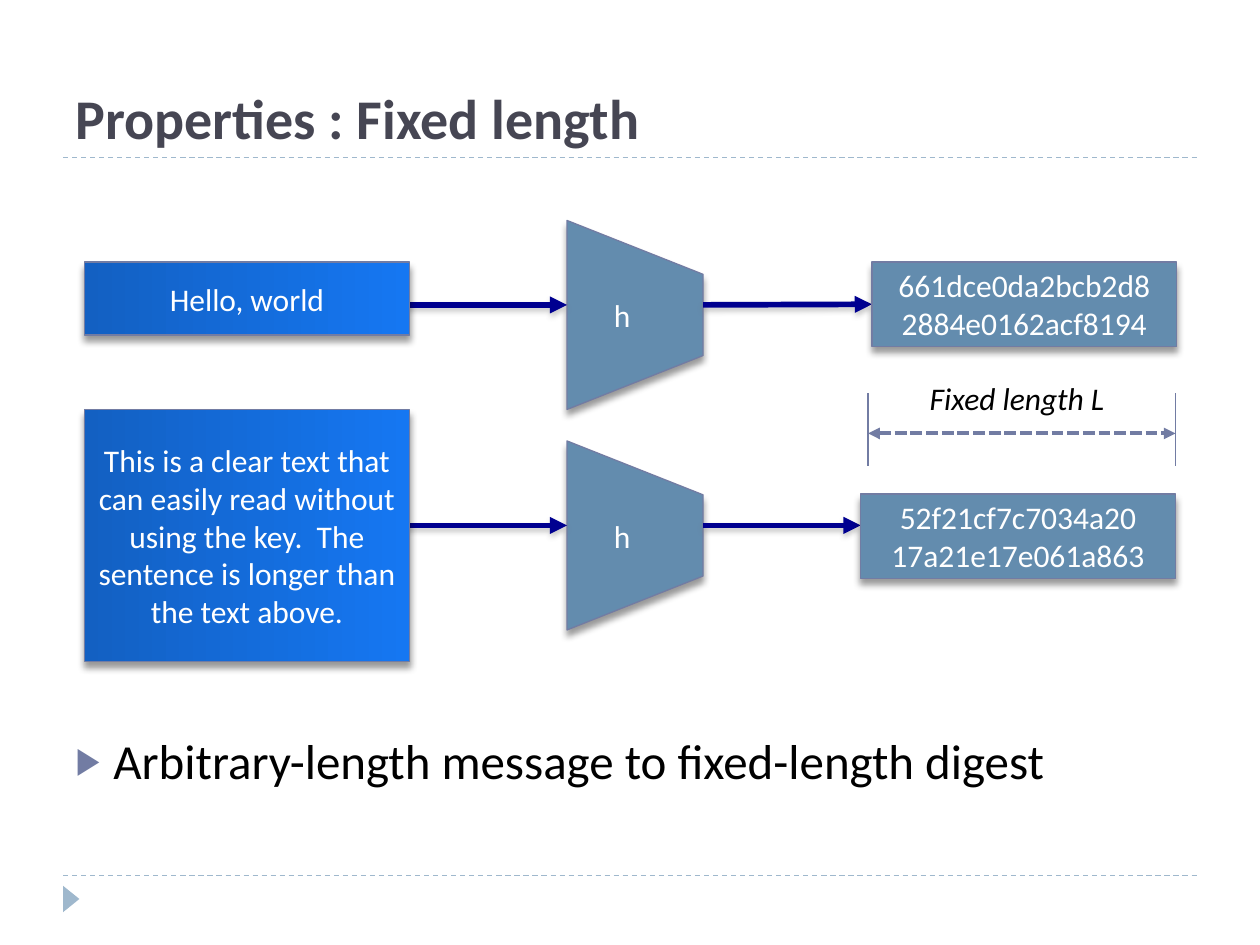
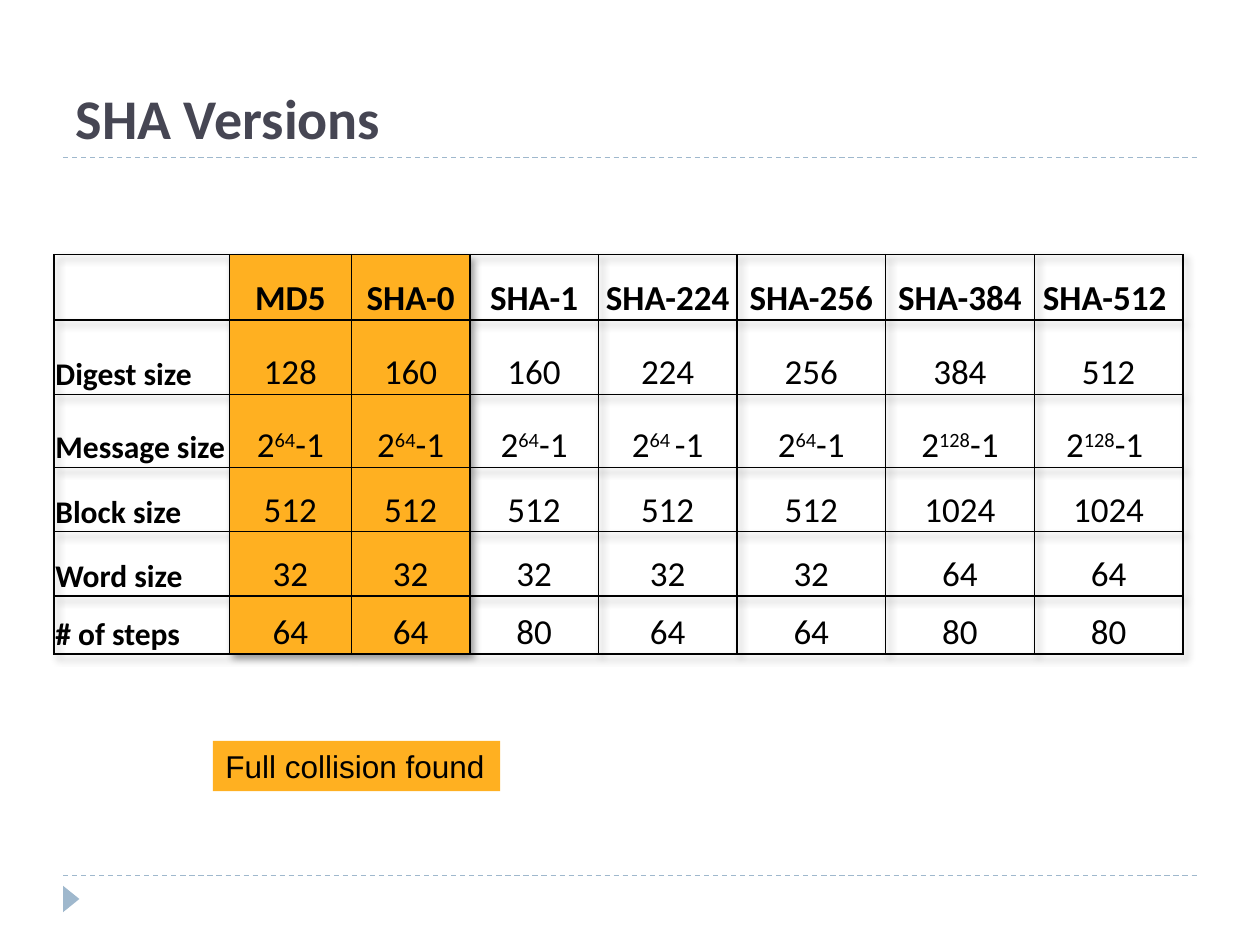
from dataclasses import dataclass
from typing import Any, NamedTuple, Optional

from lxml.etree import SubElement
from pptx import Presentation
from pptx.dml.color import RGBColor
from pptx.enum.dml import MSO_LINE_DASH_STYLE as Dash
from pptx.enum.shapes import MSO_CONNECTOR_TYPE as Connector
from pptx.enum.shapes import MSO_SHAPE as Shape
from pptx.enum.text import MSO_ANCHOR as Anchor
from pptx.enum.text import MSO_AUTO_SIZE as AutoSize
from pptx.enum.text import PP_ALIGN as Align
from pptx.oxml.ns import qn
from pptx.util import Inches, Pt

BLACK, WHITE = "000000", "FFFFFF"
TITLE, BAND, ACCENT = "464653", "9FB8CD", "727CA3"
STEEL, NAVY, AMBER = "638CAE", "000090", "FFB021"
MESSAGE_BLUES = ("1360C2", "1577F2")


class Area(NamedTuple):
    left: float
    top: float
    width: float
    height: float


class Shadow(NamedTuple):
    color: str
    blur: float
    distance: float
    angle: int = 90


BOX_SHADOW = Shadow(BLACK, 4, 3.4)
ARROW_SHADOW = Shadow("808080", 3, 2)
TABLE_SHADOW = Shadow(BLACK, 4, 3.4, 45)


@dataclass
class HashRow:
    message: str
    message_area: Area
    digest: str
    digest_area: Area
    arrow_y: float
    joined: bool


HASH_ROWS = [
    HashRow("Hello, world", Area(0.67, 2.08, 2.58, 0.58),
            "661dce0da2bcb2d8\n2884e0162acf8194", Area(6.92, 2.08, 2.42, 0.67), 2.42, True),
    HashRow("This is a clear text that can easily read without using the key.  "
            "The sentence is longer than the text above.", Area(0.67, 3.25, 2.58, 2),
            "52f21cf7c7034a20\n17a21e17e061a863", Area(6.83, 3.92, 2.5, 0.67), 4.17, False),
]

COLUMN_WIDTHS = [1.39, 0.97, 0.94, 1.02, 1.1, 1.18, 1.18, 1.18]
ROW_HEIGHTS = [0.52, 0.59, 0.58, 0.51, 0.51, 0.46]
COLLISION_COLUMNS = (1, 2)
SHA_VERSIONS = [
    ["", "MD5", "SHA-0", "SHA-1", "SHA-224", "SHA-256", "SHA-384", "SHA-512 "],
    ["Digest size", "128", "160", "160", "224", "256", "384", "512"],
    ["Message size", "2^64^-1", "2^64^-1", "2^64^-1", "2^64 ^-1", "2^64^-1",
     "2^128^-1", "2^128^-1 "],
    ["Block size", "512", "512", "512", "512", "512", "1024", "1024"],
    ["Word size", "32", "32", "32", "32", "32", "64", "64"],
    ["# of steps", "64", "64", "80", "64", "64", "80", "80"],
]


def rgb(color: str) -> RGBColor:
    return RGBColor.from_string(color)


def inches(area: Area) -> list:
    return [Inches(length) for length in area]


def write_text(frame: Any, text: str, size: float = 18, color: str = BLACK,
               font: str = "Calibri", bold: bool = False, italic: bool = False,
               align: Align = Align.LEFT) -> Any:
    """Write one paragraph; newlines break lines and ^ marks enclose superscripts."""
    para = frame.paragraphs[0]
    para.alignment = align
    for line_number, line in enumerate(text.split("\n")):
        if line_number:
            para.add_line_break()
        for index, piece in enumerate(line.split("^")):
            span = para.add_run()
            span.text = piece
            span.font.name, span.font.size = font, Pt(size)
            span.font.bold, span.font.italic = bold, italic
            span.font.color.rgb = rgb(color)
            if index % 2:
                span._r.get_or_add_rPr().set("baseline", "30000")
    return para


def fill_effects(effects: Any, shadow: Shadow) -> None:
    outer = SubElement(effects, qn("a:outerShdw"), blurRad=str(Pt(shadow.blur)),
                       dist=str(Pt(shadow.distance)), dir=str(shadow.angle * 60000),
                       algn="tl", rotWithShape="0")
    color = SubElement(outer, qn("a:srgbClr"), val=shadow.color)
    SubElement(color, qn("a:alpha"), val="40000")


def add_box(page: Any, kind: Shape, area: Area, fill: str | tuple[str, str],
            line: Optional[str] = None, shadow: Optional[Shadow] = None,
            rotation: float = 0) -> Any:
    box = page.shapes.add_shape(kind, *inches(area))
    box.rotation = rotation
    box.shadow.inherit = False
    if isinstance(fill, tuple):
        box.fill.gradient()
        box.fill.gradient_angle = 0
        for stop, color in zip(box.fill.gradient_stops, fill):
            stop.color.rgb = rgb(color)
    else:
        box.fill.solid()
        box.fill.fore_color.rgb = rgb(fill)
    if line:
        box.line.color.rgb = rgb(line)
        box.line.width = Pt(0.75)
    else:
        box.line.fill.background()
    if shadow:
        fill_effects(box.element.spPr.find(qn("a:effectLst")), shadow)
    return box


def add_line(page: Any, start: tuple[float, float], end: tuple[float, float], color: str,
             width: float = 0.75, dash: Optional[Dash] = None, ends: tuple = (),
             shadow: Optional[Shadow] = None) -> Any:
    line = page.shapes.add_connector(Connector.STRAIGHT, *inches(start + end))
    line.line.color.rgb = rgb(color)
    line.line.width = Pt(width)
    if dash:
        line.line.dash_style = dash
    for end_name in ends:
        SubElement(line.line._get_or_add_ln(), qn(f"a:{end_name}"), type="triangle")
    effects = SubElement(line.element.spPr, qn("a:effectLst"))
    if shadow:
        fill_effects(effects, shadow)
    return line


def place(holder: Any, area: Area) -> Any:
    holder.left, holder.top, holder.width, holder.height = inches(area)
    holder.text_frame.auto_size = AutoSize.NONE
    return holder.text_frame


def add_page(deck: Any, layout: int, title: str) -> Any:
    page = deck.slides.add_slide(deck.slide_layouts[layout])
    for y in (6.95, 1.25):
        add_line(page, (0.5, y), (9.5, y), BAND, dash=Dash.DASH)
    add_box(page, Shape.ISOSCELES_TRIANGLE, Area(0.46, 7.07, 0.21, 0.13), BAND, rotation=90)
    frame = place(page.shapes.title, Area(0.5, 0.17, 9, 1.08))
    frame.vertical_anchor = Anchor.BOTTOM
    write_text(frame, title, size=32, color=TITLE, bold=True)
    return page


def add_bullet(para: Any) -> None:
    para.space_before = Pt(6)
    properties = para._p.get_or_add_pPr()
    properties.set("marL", str(Inches(0.3)))
    properties.set("indent", str(Inches(-0.3)))
    SubElement(SubElement(properties, qn("a:buClr")), qn("a:srgbClr"), val=ACCENT)
    SubElement(properties, qn("a:buSzPct"), val="76000")
    SubElement(properties, qn("a:buChar"), char="▶")


def add_hash_row(page: Any, row: HashRow) -> None:
    hash_box = add_box(page, Shape.TRAPEZOID, Area(4.29, row.arrow_y - 0.46, 1.5, 1.08),
                       STEEL, ACCENT, BOX_SHADOW, rotation=90)
    hash_box.adjustments[0] = 0.396
    hash_box.text_frame._txBody.bodyPr.set("vert", "vert270")
    write_text(hash_box.text_frame, "h", color=WHITE, align=Align.CENTER)
    for left, right in ((3.08, 4.5), (5.58, row.digest_area.left)):
        arrow = add_line(page, (left, row.arrow_y), (right, row.arrow_y), NAVY, 3.25,
                         ends=("tailEnd",), shadow=ARROW_SHADOW)
    message = add_box(page, Shape.RECTANGLE, row.message_area, MESSAGE_BLUES, ACCENT, BOX_SHADOW)
    digest = add_box(page, Shape.RECTANGLE, row.digest_area, STEEL, ACCENT, BOX_SHADOW)
    for box, text in ((message, row.message), (digest, row.digest)):
        write_text(box.text_frame, text, color=WHITE, align=Align.CENTER)
    if row.joined:
        arrow.end_connect(digest, 1)


def fit_to_text(frame: Any) -> Any:
    frame.word_wrap = False
    frame.auto_size = AutoSize.SHAPE_TO_FIT_TEXT
    return frame


def build_fixed_length(deck: Any) -> None:
    page = add_page(deck, 1, "Properties : Fixed length")
    body = place(page.placeholders[1], Area(0.5, 5.75, 9, 0.98))
    add_bullet(write_text(body, "Arbitrary-length message to fixed-length digest", size=28))
    for row in HASH_ROWS:
        add_hash_row(page, row)
    caption = page.shapes.add_textbox(*inches(Area(7.28, 2.96, 1.67, 0.4)))
    write_text(fit_to_text(caption.text_frame), "Fixed length L", italic=True)
    left, right = 6.89, 9.33
    for x in (left, right):
        add_line(page, (x, 3.12), (x, 3.7), ACCENT)
    add_line(page, (left, 3.44), (right, 3.44), ACCENT, 2.25, Dash.SQUARE_DOT,
             ends=("headEnd", "tailEnd"))


def format_cell(cell: Any, row: int, column: int, text: str) -> None:
    properties = cell._tc.get_or_add_tcPr()
    for side in ("lnL", "lnR", "lnT", "lnB"):
        border = SubElement(properties, qn(f"a:{side}"), w=str(Pt(1)))
        SubElement(SubElement(border, qn("a:solidFill")), qn("a:srgbClr"), val=BLACK)
    if column in COLLISION_COLUMNS:
        cell.fill.solid()
        cell.fill.fore_color.rgb = rgb(AMBER)
    else:
        cell.fill.background()
    if text:
        cell.vertical_anchor = Anchor.BOTTOM
        cell.margin_left = cell.margin_right = cell.margin_top = Inches(0.01)
        cell.margin_bottom = 0
        write_text(cell.text_frame, text, size=20 if column else 18,
                   bold=row == 0 or column == 0, align=Align.CENTER if column else Align.LEFT)


def build_sha_versions(deck: Any) -> None:
    page = add_page(deck, 5, "SHA Versions")
    area = Area(0.43, 2.02, sum(COLUMN_WIDTHS), sum(ROW_HEIGHTS))
    table = page.shapes.add_table(len(ROW_HEIGHTS), len(COLUMN_WIDTHS), *inches(area)).table
    table.first_row = table.horz_banding = False
    properties = table._tbl.tblPr
    effects = SubElement(properties, qn("a:effectLst"))
    properties.insert(0, effects)
    fill_effects(effects, TABLE_SHADOW)
    for column, width in zip(table.columns, COLUMN_WIDTHS):
        column.width = Inches(width)
    for row, height in zip(table.rows, ROW_HEIGHTS):
        row.height = Inches(height)
    for row_number, texts in enumerate(SHA_VERSIONS):
        for column_number, text in enumerate(texts):
            format_cell(table.cell(row_number, column_number), row_number, column_number, text)
    legend = add_box(page, Shape.RECTANGLE, Area(1.69, 5.88, 2.28, 0.4), AMBER)
    write_text(fit_to_text(legend.text_frame), "Full collision found", font="Arial")


def main() -> None:
    deck = Presentation()
    deck.slide_width, deck.slide_height = Inches(10), Inches(7.5)
    build_fixed_length(deck)
    build_sha_versions(deck)
    deck.save("out.pptx")


if __name__ == "__main__":
    main()
